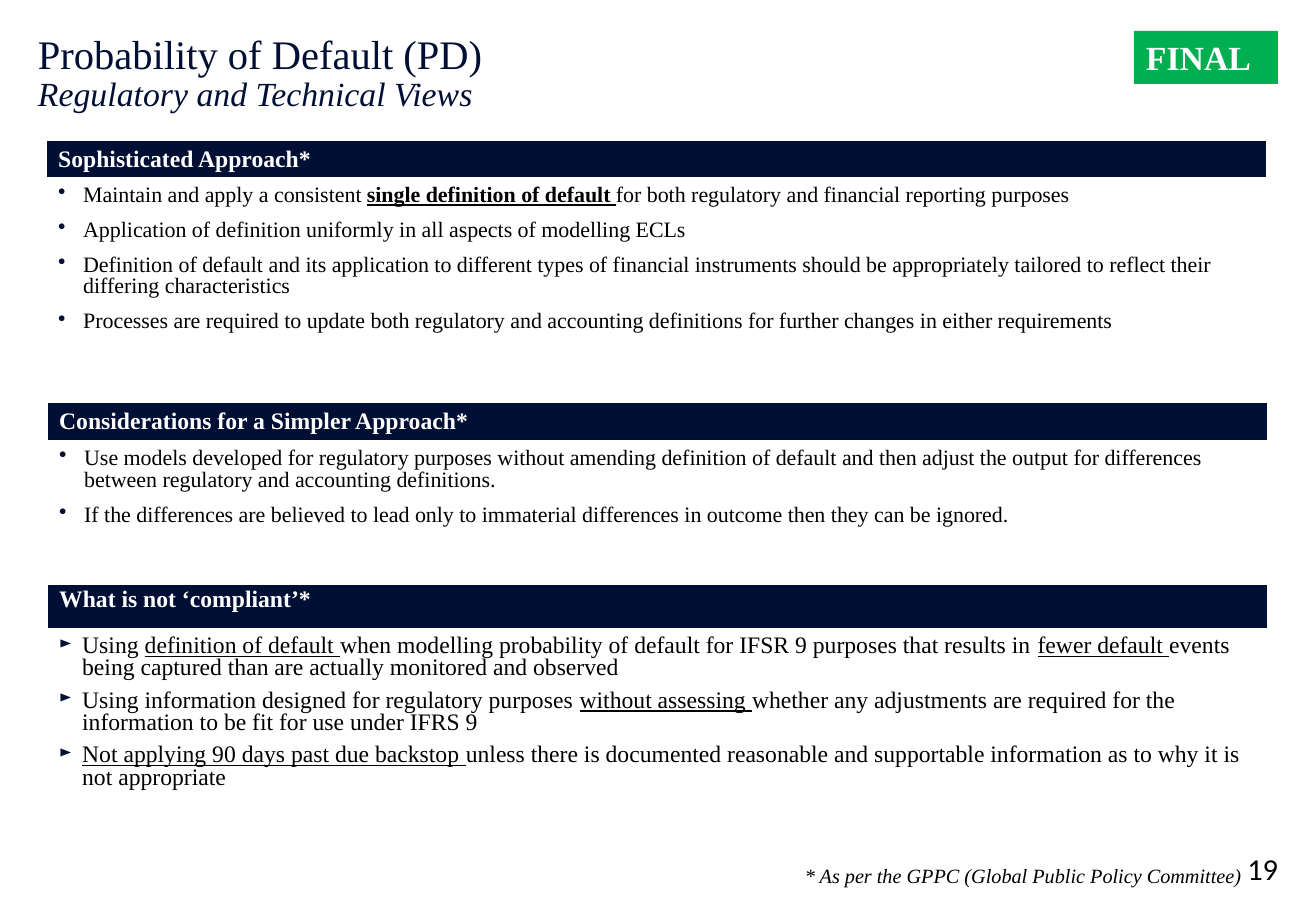
from lxml import etree
from pptx import Presentation
from pptx.dml.color import RGBColor
from pptx.enum.shapes import MSO_SHAPE
from pptx.enum.text import MSO_ANCHOR, MSO_AUTO_SIZE, PP_ALIGN
from pptx.oxml.ns import qn
from pptx.util import Pt

PX = 7526  # EMU in one px
NAVY = RGBColor(0x00, 0x0F, 0x33)
GREEN = RGBColor(0x00, 0xB0, 0x50)
WHITE = RGBColor(0xFF, 0xFF, 0xFF)
BLACK = RGBColor(0x00, 0x00, 0x00)
RECTANGLE = MSO_SHAPE.RECTANGLE
TOP, MIDDLE, BOTTOM = MSO_ANCHOR.TOP, MSO_ANCHOR.MIDDLE, MSO_ANCHOR.BOTTOM
LEFT, RIGHT = PP_ALIGN.LEFT, PP_ALIGN.RIGHT
NO_AUTOFIT = MSO_AUTO_SIZE.NONE

SERIF = "Times New Roman"
HEADER = dict(size=Pt(14), bold=True, color=WHITE)
UNDERLINED = dict(underline=True)
STRONG = dict(bold=True, underline=True)
NO_INSETS = dict(margin_left=0, margin_top=0, margin_right=0, margin_bottom=0)

# Paragraph styles: text, spacing and bullet
DOTTED = dict(font=dict(size=Pt(13), color=BLACK), bullet="•", bullet_size=100,
              indent=25, spacing=dict(line_spacing=0.9), before=Pt(7.8))
ARROWED = dict(font=dict(size=Pt(14), color=BLACK), bullet="►", bullet_size=70,
               indent=23, spacing=dict(line_spacing=0.85, space_after=Pt(6)), before=Pt(0))

# Sections: left, top, header height, body height, header, header spacing, style, points
SECTIONS = [
    (46, 140, 39, 180, "Sophisticated Approach*", {}, DOTTED, [
        [("Maintain and apply a consistent ", {}),
         ("single definition of default ", STRONG),
         ("for both regulatory and financial reporting purposes", {})],
        [("Application of definition uniformly in all aspects of modelling ECLs", {})],
        [("Definition of default and its application to different types of financial "
          "instruments should be appropriately tailored to reflect their differing "
          "characteristics", {})],
        [("Processes are required to update both regulatory and accounting definitions "
          "for further changes in either requirements", {})],
    ]),
    (47, 402, 40, 99, "Considerations for a Simpler Approach*", {}, DOTTED, [
        [("Use models developed for regulatory purposes without amending definition of "
          "default and then adjust the output for differences between regulatory and "
          "accounting definitions.", {})],
        [("If the differences are believed to lead only to immaterial differences in "
          "outcome then they can be ignored.", {})],
    ]),
    (47, 584, 46, 177, "What is not ‘compliant’*", ARROWED["spacing"], ARROWED, [
        [("Using ", {}), ("definition of default ", UNDERLINED),
         ("when modelling probability of default for IFSR 9 purposes that results in ", {}),
         ("fewer default ", UNDERLINED),
         ("events being captured than are actually monitored and observed", {})],
        [("Using information designed for regulatory purposes ", {}),
         ("without assessing ", UNDERLINED),
         ("whether any adjustments are required for the information to be fit for use "
          "under IFRS 9", {})],
        [("Not applying 90 days past due backstop ", UNDERLINED),
         ("unless there is documented reasonable and supportable information as to why "
          "it is not appropriate", {})],
    ]),
]


def assign(target, values):
    for key, value in values.items():
        setattr(target, key, value)


class SlideBuilder:
    def __init__(self, width, height):
        self.deck = Presentation()
        self.deck.slide_width, self.deck.slide_height = width * PX, height * PX
        self.slide = self.deck.slides.add_slide(self.deck.slide_layouts[5])

    def box(self, *lengths):
        return [length * PX for length in lengths]

    def run(self, paragraph, text, style):
        run = paragraph.add_run()
        run.text = text
        values = {"name": SERIF, **style}
        run.font.color.rgb = values.pop("color")
        assign(run.font, values)

    def title(self, left, top, width, height, heading, subheading):
        title = self.slide.shapes.title
        title.left, title.top, title.width, title.height = self.box(left, top, width, height)
        assign(title.text_frame, dict(NO_INSETS, vertical_anchor=TOP, word_wrap=True,
                                      auto_size=NO_AUTOFIT))
        paragraph = title.text_frame.paragraphs[0]
        assign(paragraph, dict(alignment=LEFT, line_spacing=0.9))
        self.run(paragraph, heading, dict(size=Pt(24), color=NAVY))
        paragraph.add_line_break()
        self.run(paragraph, subheading, dict(size=Pt(20), italic=True, color=NAVY))

    def text(self, left, top, width, height, text, style, frame):
        label = self.slide.shapes.add_textbox(*self.box(left, top, width, height))
        assign(label.text_frame, dict(frame, word_wrap=True))
        paragraph = label.text_frame.paragraphs[0]
        paragraph.alignment = RIGHT
        self.run(paragraph, text, style)

    def stamp(self, left, top, width, height, text):
        stamp = self.slide.shapes.add_shape(RECTANGLE, *self.box(left, top, width, height))
        stamp.shadow.inherit = False
        stamp.fill.solid()
        stamp.fill.fore_color.rgb = GREEN
        stamp.line.fill.background()
        assign(stamp.text_frame, dict(word_wrap=True, vertical_anchor=MIDDLE))
        paragraph = stamp.text_frame.paragraphs[0]
        paragraph.alignment = LEFT
        self.run(paragraph, text, dict(size=Pt(20), bold=True, color=WHITE))

    def bullet(self, paragraph, style):
        properties = paragraph._p.get_or_add_pPr()
        indent = style["indent"] * PX
        properties.set("marL", str(indent))
        properties.set("indent", str(-indent))
        color = etree.SubElement(properties, qn("a:buClr"))
        etree.SubElement(color, qn("a:srgbClr"), val=str(NAVY))
        etree.SubElement(properties, qn("a:buSzPct"), val=str(style["bullet_size"] * 1000))
        etree.SubElement(properties, qn("a:buChar"), char=style["bullet"])

    def cell_style(self, cell, color, borders):
        properties = cell._tc.get_or_add_tcPr()
        for side, points in borders.items():
            line = etree.SubElement(properties, qn("a:ln" + side), w=str(Pt(points)))
            fill = etree.SubElement(line, qn("a:solidFill"))
            etree.SubElement(fill, qn("a:srgbClr"), val=str(WHITE))
        cell.fill.solid()
        cell.fill.fore_color.rgb = color

    def section(self, left, top, header_height, body_height, heading, heading_spacing,
                style, points):
        table = self.slide.shapes.add_table(
            2, 1, *self.box(left, top, 1221, header_height + body_height)).table
        assign(table, dict(first_row=False, horz_banding=False))
        for row, height in zip(table.rows, (header_height, body_height)):
            row.height = height * PX
        header, body = table.cell(0, 0), table.cell(1, 0)
        self.cell_style(header, NAVY, dict(L=1, R=1, T=1, B=3))
        self.cell_style(body, WHITE, dict(L=1, R=1, T=3, B=1))

        header_line = header.text_frame.paragraphs[0]
        assign(header_line, heading_spacing)
        self.run(header_line, heading, HEADER)

        for index, pieces in enumerate(points):
            frame = body.text_frame
            paragraph = frame.add_paragraph() if index else frame.paragraphs[0]
            self.bullet(paragraph, style)
            assign(paragraph, style["spacing"])
            if index:
                paragraph.space_before = style["before"]
            for text, emphasis in pieces:
                self.run(paragraph, text, {**style["font"], **emphasis})


def main():
    builder = SlideBuilder(1316, 911)

    # Title and status stamp
    builder.title(38, 34, 1090, 100, "Probability of Default (PD)",
                  "Regulatory and Technical Views")
    builder.stamp(1134, 31, 144, 53, "FINAL")

    # Approach sections
    for section in SECTIONS:
        builder.section(*section)

    # Footnote and page number
    builder.text(537, 857, 717, 37, "* As per the GPPC (Global Public Policy Committee)",
                 dict(size=Pt(12), italic=True, color=BLACK), {})
    builder.text(1220, 849, 58, 38, "19", dict(name="Calibri", size=Pt(18), color=BLACK),
                 dict(NO_INSETS, vertical_anchor=BOTTOM))

    builder.deck.save("out.pptx")


if __name__ == "__main__":
    main()
